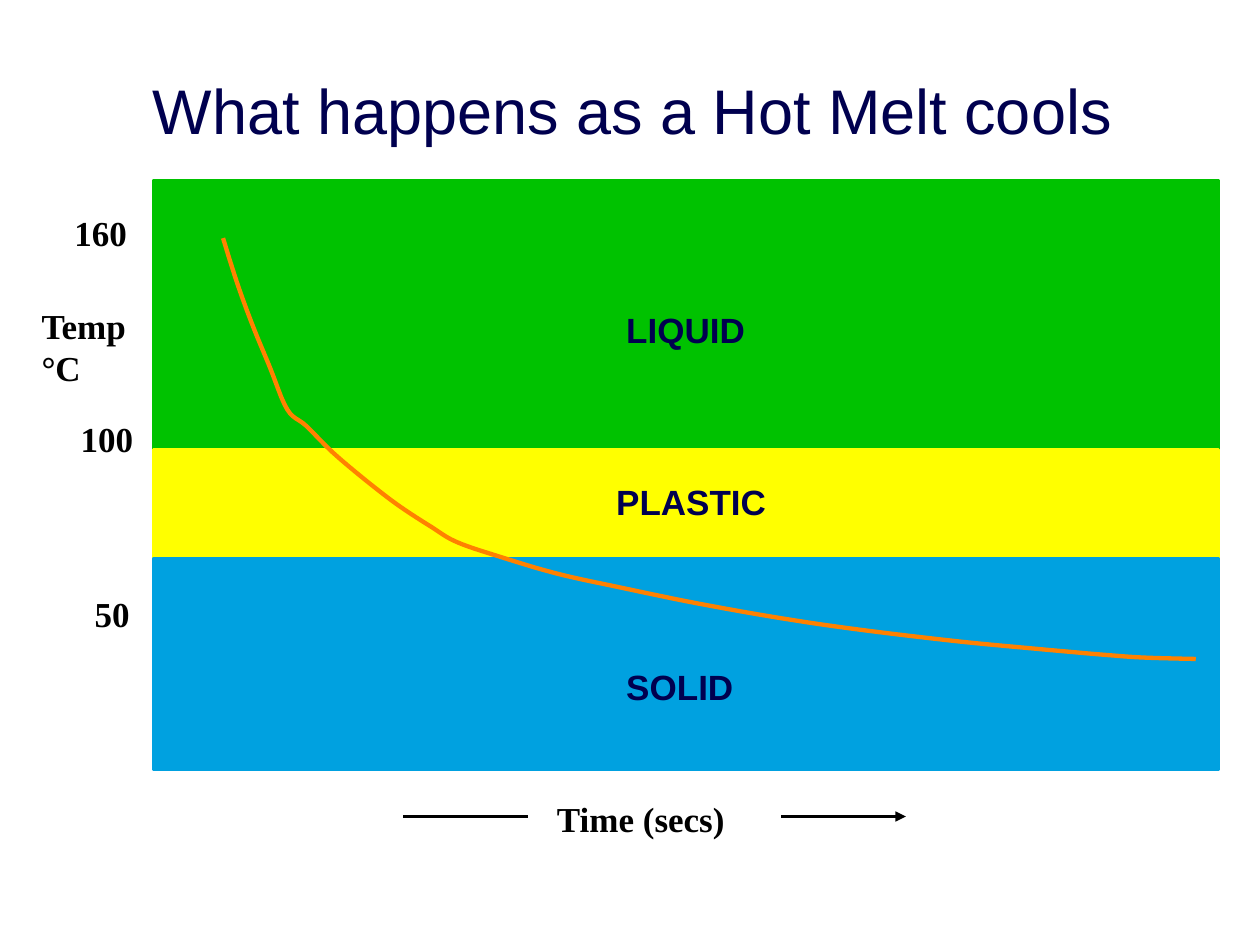
from dataclasses import dataclass

from lxml import etree
from pptx import Presentation
from pptx import util as u
from pptx.dml.color import RGBColor
from pptx.enum import shapes, text
from pptx.oxml.ns import qn

COLS, ROWS = 100, 75
CELL = u.Inches(0.1)


@dataclass(frozen=True)
class Theme:
    """Colours, fonts and sizes of the slide."""
    navy: str = "00004F"
    ink: str = "000000"
    frame: str = "FFFFFF"
    liquid: str = "00C200"
    plastic: str = "FFFF00"
    solid: str = "00A1E0"
    curve: str = "FF8100"
    sans: str = "Arial"
    serif: str = "Times New Roman"
    title_size: int = 36
    label_size: int = 20
    thin: float = 1.46
    thick: float = 2.46


THEME = Theme()


def grid(*cells):
    """Turn grid columns or rows into slide lengths."""
    return [round(cell * CELL) for cell in cells]


def set_line(line, colour, width):
    """Give a line its colour and width."""
    line.color.rgb = RGBColor.from_string(colour)
    line.width = u.Pt(width)


def add_label(slide, box, words, font, colour, size=THEME.label_size, bold=True):
    """Add a text box without margins and return its frame."""
    frame = slide.shapes.add_textbox(*grid(*box)).text_frame
    frame.word_wrap = True
    frame.margin_left = frame.margin_right = 0
    frame.margin_top = frame.margin_bottom = 0
    frame.text = words
    for paragraph in frame.paragraphs:
        for run in paragraph.runs:
            run.font.name, run.font.size, run.font.bold = font, u.Pt(size), bold
            run.font.color.rgb = RGBColor.from_string(colour)
    return frame


def add_title(slide, words):
    """Add the centred title, resting on the bottom of its box."""
    frame = add_label(slide, (6.2, 0, 88, 11.7), words, THEME.sans, THEME.navy,
                      THEME.title_size, False)
    frame.vertical_anchor = text.MSO_ANCHOR.BOTTOM
    frame.paragraphs[0].alignment = text.PP_ALIGN.CENTER


def add_band(slide, box, line, fill=None):
    """Add a square-cornered band of the plot."""
    band = slide.shapes.add_shape(shapes.MSO_SHAPE.ROUNDED_RECTANGLE, *grid(*box))
    band.adjustments[0] = 0
    band.shadow.inherit = False
    if fill:
        band.fill.solid()
        band.fill.fore_color.rgb = RGBColor.from_string(fill)
    else:
        band.fill.background()
    set_line(band.line, line, THEME.thin)


def smooth_path(knots, steps=6):
    """Return points of a Catmull-Rom spline through the knots."""
    padded = [knots[0], *knots, knots[-1]]
    points = [knots[0]]
    for a, b, c, d in zip(padded, padded[1:], padded[2:], padded[3:]):
        for step in range(1, steps + 1):
            t = step / steps
            points.append(tuple(
                0.5 * (2 * q + (r - p) * t + (2 * p - 5 * q + 4 * r - s) * t ** 2
                       + (3 * q - p - 3 * r + s) * t ** 3)
                for p, q, r, s in zip(a, b, c, d)))
    return points


def add_cooling_curve(slide, knots):
    """Draw the open cooling curve through its knots."""
    start, *rest = [grid(*point) for point in smooth_path(knots)]
    builder = slide.shapes.build_freeform(*start)
    builder.add_line_segments(rest, close=False)
    curve = builder.convert_to_shape()
    curve.shadow.inherit = False
    curve.fill.background()
    set_line(curve.line, THEME.curve, THEME.thick)


def add_time_line(slide, left, row, length, arrow=False):
    """Draw a horizontal time line, with an arrowhead if asked."""
    line = slide.shapes.add_connector(shapes.MSO_CONNECTOR.STRAIGHT,
                                      *grid(left, row, left + length, row))
    set_line(line.line, THEME.ink, THEME.thin)
    if arrow:
        etree.SubElement(line.line._get_or_add_ln(), qn("a:tailEnd"), type="triangle")
    etree.SubElement(line._element.spPr, qn("a:effectLst"))


def main():
    """Build the cooling slide."""
    deck = Presentation()
    deck.slide_width, deck.slide_height = grid(COLS, ROWS)
    slide = deck.slides.add_slide(deck.slide_layouts[6])

    add_title(slide, "What happens as a Hot Melt cools")
    add_band(slide, (8.8, 14.3, 89.6, 47), THEME.frame)
    top = 14.3
    for height, colour in ((21.4, THEME.liquid), (8.6, THEME.plastic),
                           (16.8, THEME.solid)):
        add_band(slide, (12.2, top, 84.5, height), colour, colour)
        top += height

    add_cooling_curve(slide, [
        (17.7, 18.9), (18.8, 22.4), (20, 25.7), (21.4, 29.1), (22.8, 32.5),
        (24.3, 33.8), (26.4, 35.9), (29, 38.1), (31.6, 40.1), (34.2, 41.8),
        (36.2, 43), (39.4, 44.1), (44.1, 45.5), (49.1, 46.6), (55.4, 47.9),
        (62.2, 49.1), (68.4, 50), (76, 50.9), (82.3, 51.5), (88, 52),
        (91, 52.2), (94.9, 52.3)])

    add_label(slide, (44.2, 63.3, 20.1, 6.6), "Time (secs)", THEME.serif, THEME.ink)
    add_time_line(slide, 32, 64.8, 9.9)
    add_time_line(slide, 62, 64.8, 9.9, arrow=True)

    add_label(slide, (3.3, 24.2, 8.3, 7), "Temp\n°C", THEME.serif, THEME.ink)
    for words, left, row, width in (("160", 5.9, 16.8, 5.2), ("100", 6.4, 33.1, 5.2),
                                    ("50", 7.5, 47, 3.5)):
        add_label(slide, (left, row, width, 3.3), words, THEME.serif, THEME.ink)
    for words, left, row, width in (("LIQUID", 49.7, 24.5, 10.5),
                                    ("PLASTIC", 48.9, 38.1, 13.2),
                                    ("SOLID", 49.7, 52.8, 9.5)):
        add_label(slide, (left, row, width, 3.3), words, THEME.sans, THEME.navy)

    deck.save("out.pptx")


if __name__ == "__main__":
    main()
